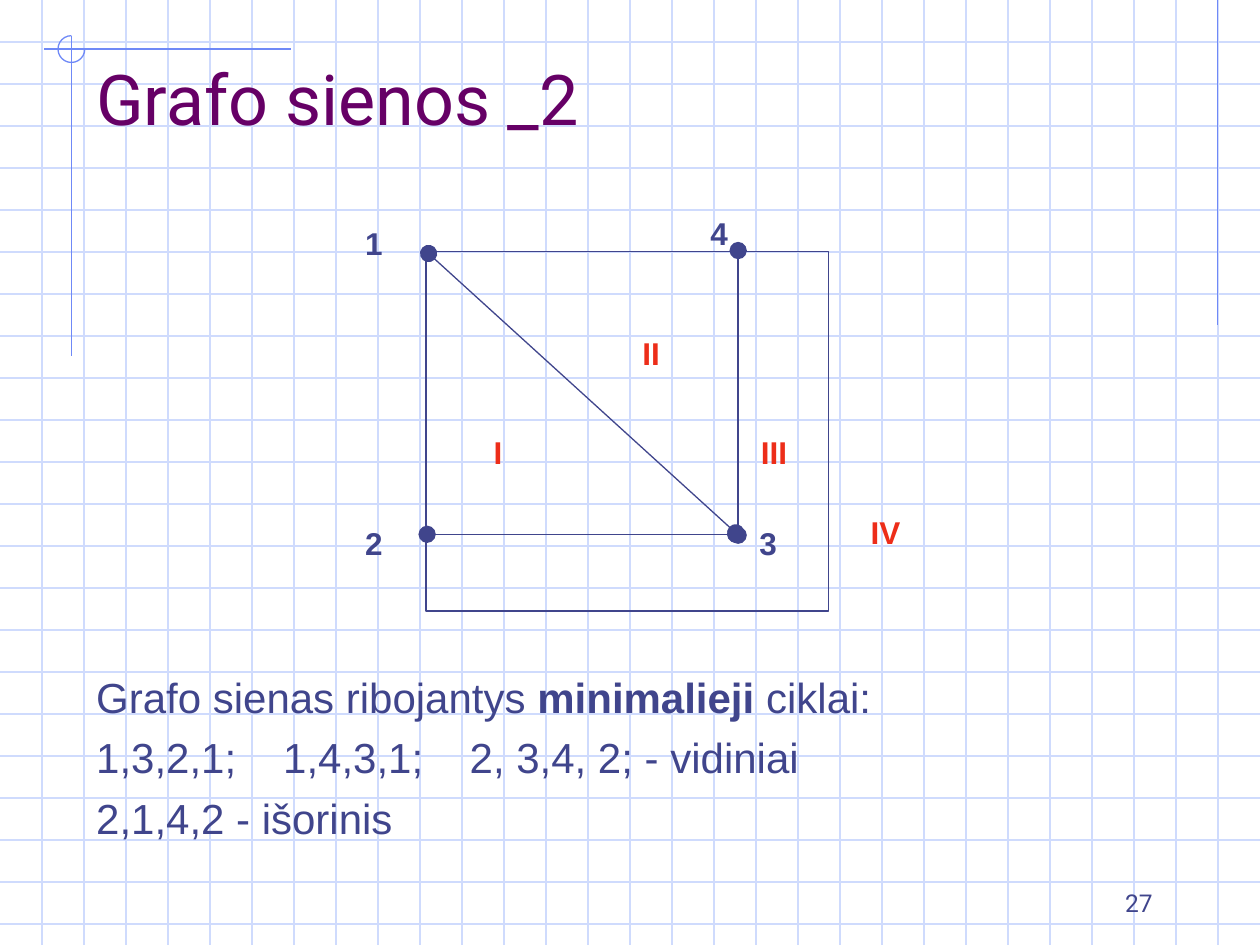
from collections import namedtuple

from lxml import etree
from pptx import Presentation
from pptx.dml.color import RGBColor
from pptx.enum.shapes import MSO_CONNECTOR, MSO_SHAPE
from pptx.enum.text import MSO_ANCHOR, PP_ALIGN
from pptx.oxml.ns import qn
from pptx.util import Cm, Pt

STRAIGHT = MSO_CONNECTOR.STRAIGHT
ARC = MSO_SHAPE.ARC
RECTANGLE = MSO_SHAPE.RECTANGLE
TOP = MSO_ANCHOR.TOP
BOTTOM = MSO_ANCHOR.BOTTOM
LEFT = PP_ALIGN.LEFT
RIGHT = PP_ALIGN.RIGHT

GRID_BLUE = RGBColor(0xCF, 0xDB, 0xFD)
ACCENT_BLUE = RGBColor(0x6F, 0x89, 0xF7)
NAVY = RGBColor(0x40, 0x45, 0x8C)
PURPLE = RGBColor(0x66, 0x00, 0x66)
RED = RGBColor(0xED, 0x2D, 0x19)

Box = namedtuple("Box", "left top width height")
PAGE = Box(0, 0, 25.4, 19.05)
GRID_COLUMNS = 30

VERTEX_LABELS = [
    ("1", -1.48, -0.68),
    ("2", -1.48, 5.37),
    ("3", 6.47, 5.37),
    ("4", 5.48, -0.88),
]
FACE_LABELS = [
    ("I", 1.11, 3.54),
    ("II", 4.11, 1.53),
    ("III", 6.5, 3.54),
    ("IV", 8.71, 5.14),
]
EDGES = [
    (6.29, -0.02, 6.29, 5.72),
    (0.02, 5.7, 6.24, 5.7),
    (0.05, 0.04, 6.24, 5.67),
]
CYCLES = [
    [("Grafo sienas ribojantys ", False), ("minimalieji", True), (" ciklai:", False)],
    [("1,3,2,1;\t1,4,3,1;\t2, 3,4, 2; - vidiniai", False)],
    [("2,1,4,2 - išorinis", False)],
]
CYCLE_TABS = [3.77, 7.53]


def add_line(page, box, start_x, start_y, end_x, end_y, color):
    line = page.shapes.add_connector(
        STRAIGHT,
        Cm(box.left + start_x), Cm(box.top + start_y),
        Cm(box.left + end_x), Cm(box.top + end_y),
    )
    line.line.color.rgb = color
    line.line.width = Pt(0.75)
    etree.SubElement(line._element.spPr, qn("a:effectLst"))
    return line


def add_outline(page, kind, box, color):
    shape = page.shapes.add_shape(
        kind, Cm(box.left), Cm(box.top), Cm(box.width), Cm(box.height)
    )
    shape.shadow.inherit = False
    shape.fill.background()
    shape.line.color.rgb = color
    shape.line.width = Pt(0.75)
    return shape


def add_text_frame(page, box, anchor=TOP):
    frame = page.shapes.add_textbox(
        Cm(box.left), Cm(box.top), Cm(box.width), Cm(box.height)
    ).text_frame
    frame.word_wrap = True
    frame.vertical_anchor = anchor
    return frame


def format_span(span, font, size, color, bold=False):
    span.font.name = font
    span.font.size = Pt(size)
    span.font.color.rgb = color
    span.font.bold = bold


def add_text(page, box, text, font, size, color, bold=False, anchor=TOP, align=LEFT):
    frame = add_text_frame(page, box, anchor)
    frame.text = text
    para = frame.paragraphs[0]
    para.alignment = align
    format_span(para.runs[0], font, size, color, bold)


def add_grid(page, box):
    step = box.width / GRID_COLUMNS
    for row in range(1, int(box.height / step) + 1):
        add_line(page, box, 0, row * step, box.width, row * step, GRID_BLUE)
    for column in range(1, GRID_COLUMNS):
        add_line(page, box, column * step, 0, column * step, box.height, GRID_BLUE)


def add_corner_mark(page, box):
    center_x, center_y, radius = 0.55, 0.27, 0.27
    add_line(page, box, box.width, center_y, 0, center_y, ACCENT_BLUE)
    add_line(page, box, center_x, 0, center_x, box.height, ACCENT_BLUE)
    circle = Box(
        box.left + center_x - radius, box.top + center_y - radius,
        2 * radius, 2 * radius,
    )
    arc = add_outline(page, ARC, circle, ACCENT_BLUE)
    arc.adjustments[0] = 0
    arc.adjustments[1] = 162


def add_graph(page, box):
    add_outline(page, RECTANGLE, box, NAVY)
    for edge in EDGES:
        line = add_line(page, box, *edge, NAVY)
        outline = line.line._get_or_add_ln()
        for end in ("a:headEnd", "a:tailEnd"):
            etree.SubElement(outline, qn(end), type="oval", w="lg", len="lg")
    for labels, color in ((VERTEX_LABELS, NAVY), (FACE_LABELS, RED)):
        for text, left, top in labels:
            label = Box(box.left + left, box.top + top, 1.17, 1.02)
            add_text(page, label, text, "Arial", 18, color, bold=True)


def add_cycles(page, box):
    frame = add_text_frame(page, box)
    for index, spans in enumerate(CYCLES):
        para = frame.paragraphs[0] if index == 0 else frame.add_paragraph()
        if index:
            para.space_before = Pt(5.8)
        tab_list = etree.SubElement(para._p.get_or_add_pPr(), qn("a:tabLst"))
        for position in CYCLE_TABS:
            etree.SubElement(tab_list, qn("a:tab"), pos=str(Cm(position)), algn="l")
        for text, bold in spans:
            span = para.add_run()
            span.text = text
            format_span(span, "Arial", 24, NAVY, bold)


def main():
    deck = Presentation()
    deck.slide_width = Cm(PAGE.width)
    deck.slide_height = Cm(PAGE.height)
    page = deck.slides.add_slide(deck.slide_layouts[6])
    add_grid(page, PAGE)
    add_line(page, PAGE, 24.55, 0, 24.55, 6.55, ACCENT_BLUE)
    add_corner_mark(page, Box(0.89, 0.72, 4.97, 6.46))
    add_text(page, Box(18.2, 17.35, 5.29, 1.27), "27", "Roboto", 14, NAVY,
             anchor=BOTTOM, align=RIGHT)
    add_text(page, Box(1.69, 0.85, 21.59, 2.08), "Grafo sienos _2", "Roboto", 40,
             PURPLE, anchor=BOTTOM)
    add_graph(page, Box(8.59, 5.07, 8.11, 7.25))
    add_cycles(page, Box(1.69, 13.41, 18.6, 3.63))
    deck.save("out.pptx")


if __name__ == "__main__":
    main()
